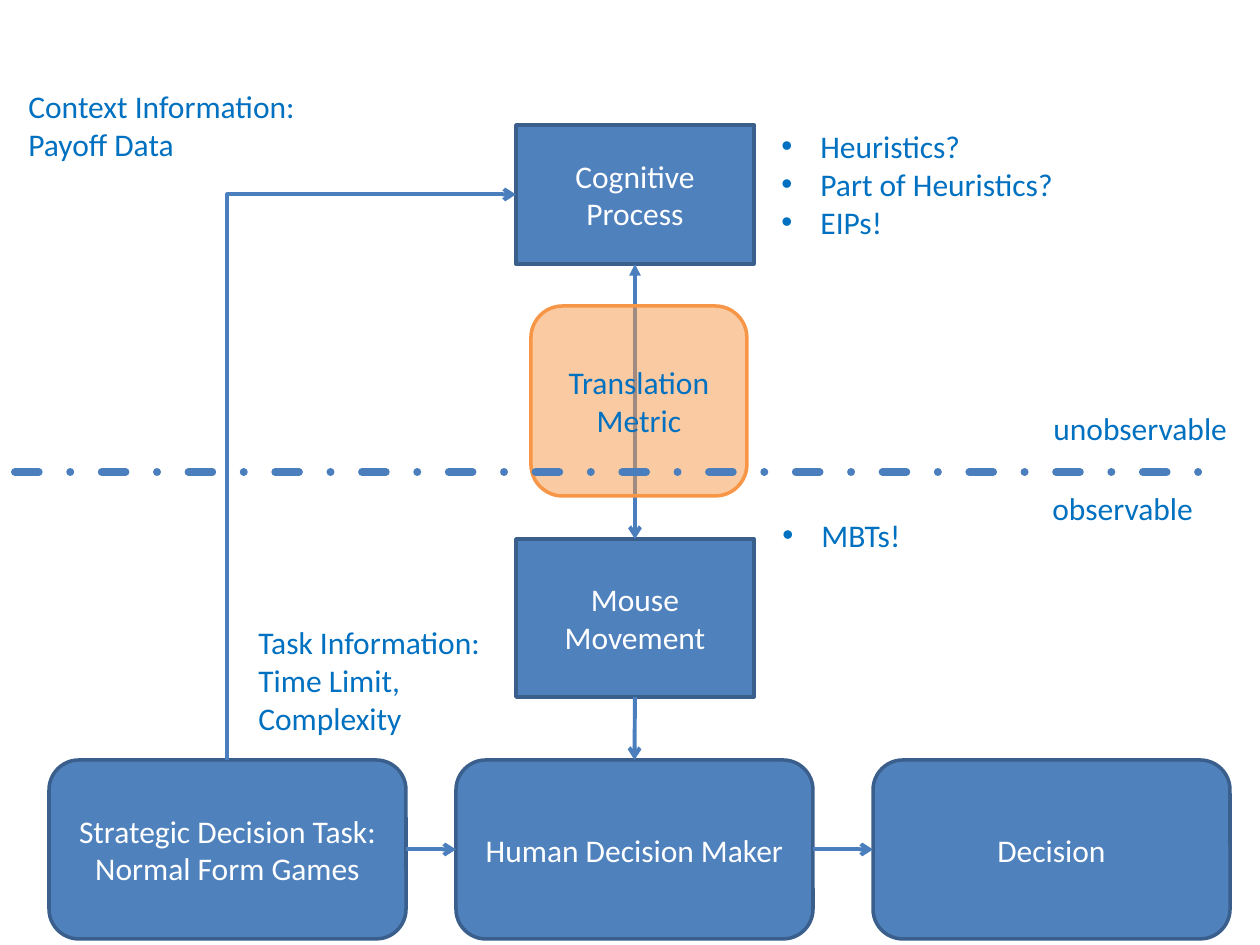
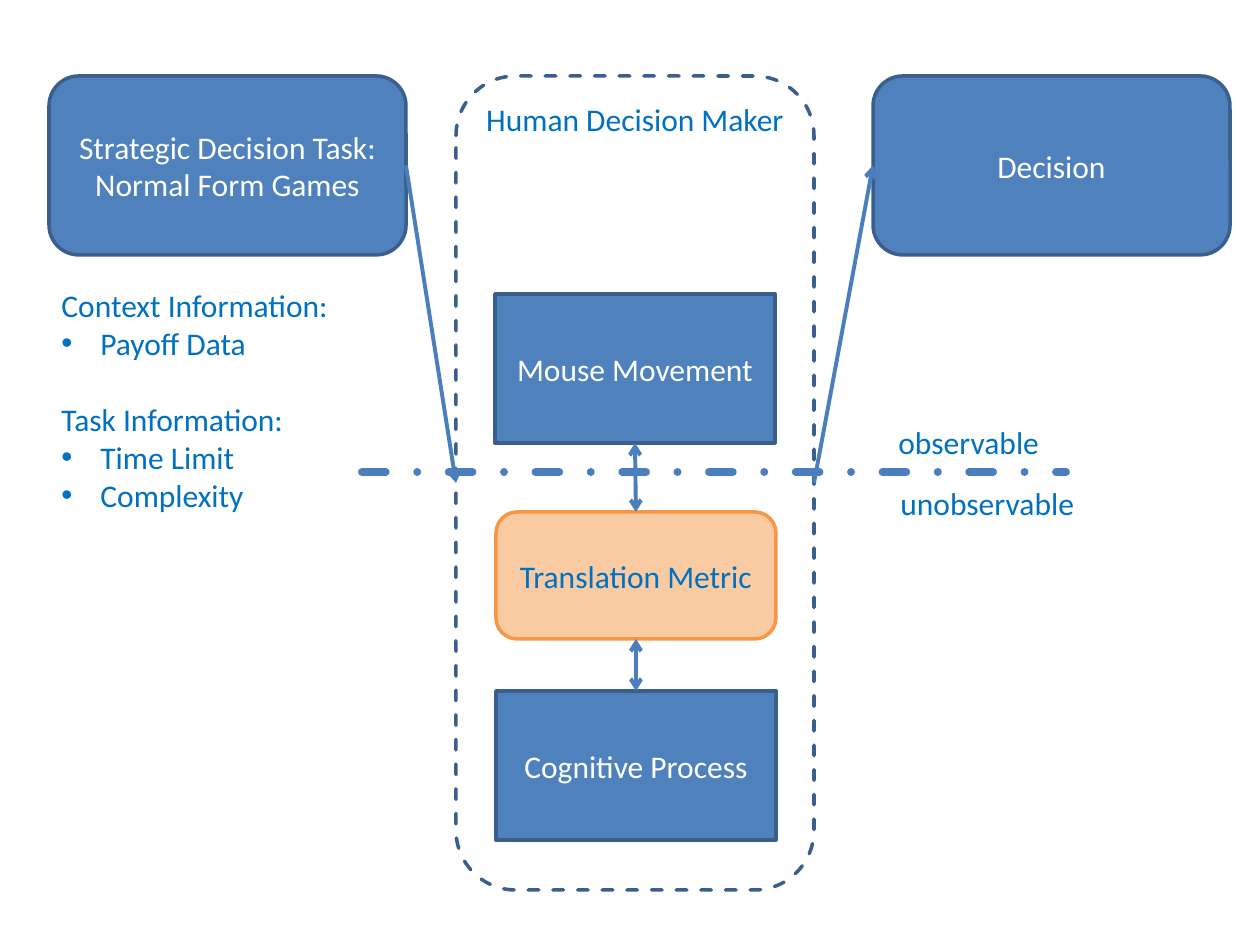
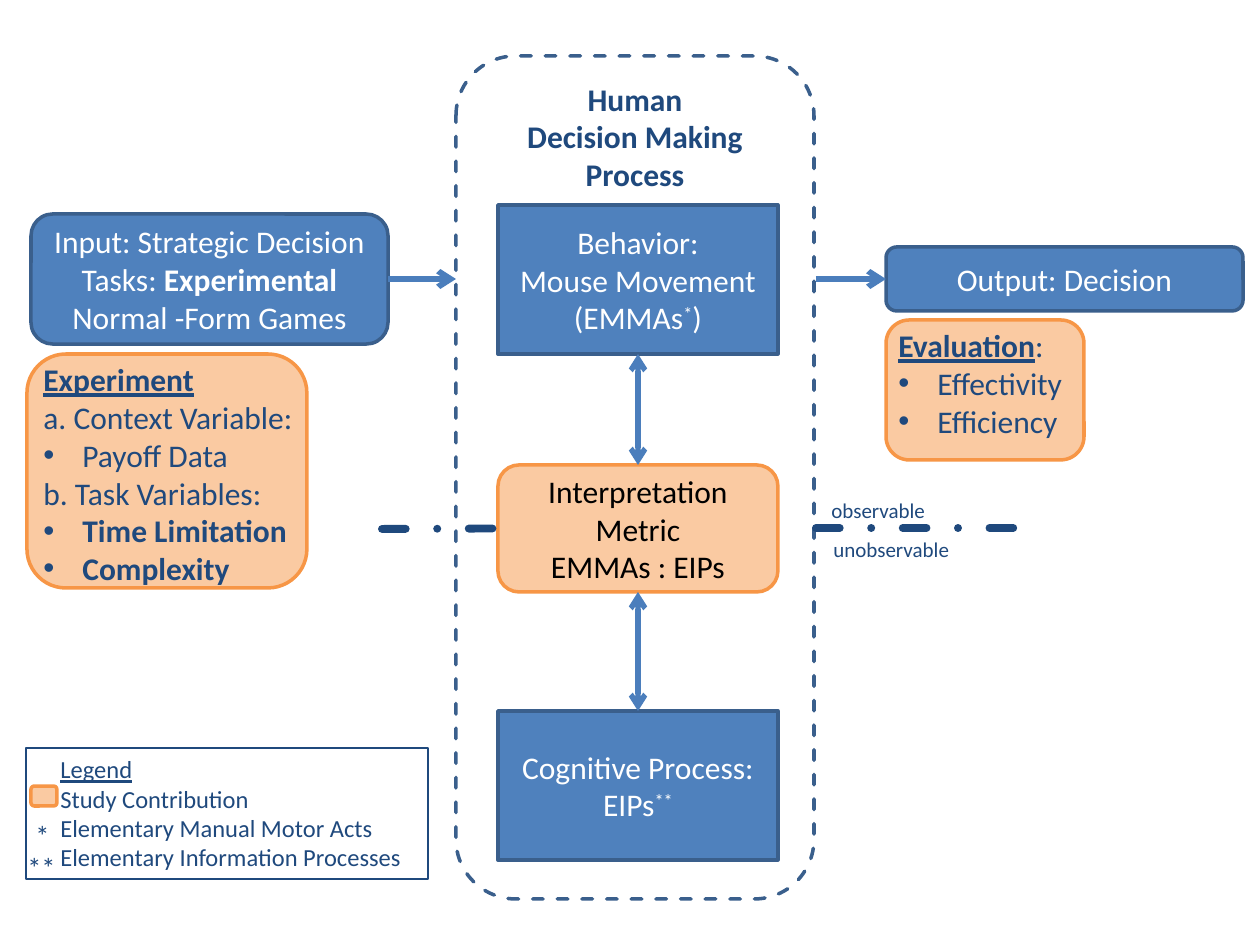
from dataclasses import dataclass

from pptx import Presentation
from pptx import util as u
from pptx.dml.color import RGBColor
from pptx.enum import dml, shapes, text
from pptx.oxml.ns import qn
from lxml import etree

SCALE = 914400 / 126
FONT = "Calibri"
BLUE, EDGE, WIRE = "4F81BD", "3A5F8C", "4B7EBC"
SKY, NAVY, ORANGE = "0070C0", "1F497D", "F79646"
WHITE, BLACK = "FFFFFF", "000000"
RECT = shapes.MSO_SHAPE.RECTANGLE
ROUND = shapes.MSO_SHAPE.ROUNDED_RECTANGLE
LEFT, MID = text.PP_ALIGN.LEFT, text.PP_ALIGN.CENTER
DASH, DOTTED = dml.MSO_LINE.DASH, dml.MSO_LINE.DASH_DOT
TOP, WEST, BASE, EAST = range(4)
SITES = ((0.5, 0), (0, 0.5), (0.5, 1), (1, 0.5))


@dataclass
class Line:
    """One paragraph; runs are (text, marks), with marks b, u or s (raised)."""
    runs: list
    dot: bool = False
    gap: int = 0
    inset: int = 0


def px(n):
    return u.Emu(round(n * SCALE))


def color(code):
    return RGBColor.from_string(code)


def dot(words, marks=""):
    return Line([(words, marks)], dot=True)


def add(parent, tag, **attrs):
    return etree.SubElement(parent, qn(tag), attrs)


def write(frame, lines, tint, size=18, align=LEFT):
    frame.word_wrap = True
    for i, line in enumerate(lines):
        if isinstance(line, str):
            line = Line([(line, "")])
        para = frame.paragraphs[0] if i == 0 else frame.add_paragraph()
        para.alignment = align
        if line.gap:
            para.space_before = u.Pt(line.gap)
        props = para._p.get_or_add_pPr()
        if line.dot:
            props.set("marL", str(px(39)))
            props.set("indent", str(-px(39)))
            add(props, "a:buFont", typeface="Arial")
            add(props, "a:buChar", char="•")
        elif line.inset:
            props.set("marL", str(px(line.inset)))
        for words, marks in line.runs:
            run = para.add_run()
            run.text = words
            font = run.font
            font.name, font.size = FONT, u.Pt(size)
            font.color.rgb = color(tint)
            font.bold = "b" in marks
            font.underline = "u" in marks
            if "s" in marks:
                run._r.get_or_add_rPr().set("baseline", "30000")


def label(slide, place, lines, tint=SKY, size=18):
    box = slide.shapes.add_textbox(*map(px, place))
    write(box.text_frame, lines, tint, size)


def stroke(line, tint, width, dash=None):
    line.color.rgb = color(tint)
    line.width = u.Pt(width)
    if dash:
        line.dash_style = dash
        line._get_or_add_ln().set("cap", "rnd")


def box(slide, kind, place, lines=(), fill=BLUE, edge=EDGE, tint=WHITE,
        width=2, dash=None, size=18, align=MID, anchor=text.MSO_ANCHOR.MIDDLE):
    shape = slide.shapes.add_shape(kind, *map(px, place))
    shape.shadow.inherit = False
    if fill:
        shape.fill.solid()
        shape.fill.fore_color.rgb = color(fill)
    else:
        shape.fill.background()
    stroke(shape.line, edge, width, dash)
    shape.text_frame.vertical_anchor = anchor
    write(shape.text_frame, lines, tint, size, align)
    return shape


def glass(slide, place, lines=(), tint=SKY):
    """Half-transparent orange box."""
    shape = box(slide, ROUND, place, lines, ORANGE, ORANGE, tint)
    tone = shape._element.spPr.find(qn("a:solidFill"))[0]
    add(tone, "a:alpha", val="50000")
    return shape


def maker(slide, place, lines, tint):
    """Dashed frame around the decision maker."""
    shape = box(slide, ROUND, place, lines, None, EDGE, tint, dash=DASH,
                anchor=text.MSO_ANCHOR.TOP)
    shape.text_frame.margin_left = shape.text_frame.margin_right = px(8)
    return shape


def spot(end):
    """Place of an end, given as (x, y) in px or as (shape, site)."""
    if isinstance(end[0], int):
        return px(end[0]), px(end[1])
    shape, site = end
    across, down = SITES[site]
    return (u.Emu(round(shape.left + across * shape.width)),
            u.Emu(round(shape.top + down * shape.height)))


def link(slide, start, end, head=None, tail="arrow", width=2.25,
         tint=WIRE, dash=None, bent=False):
    kind = shapes.MSO_CONNECTOR.ELBOW if bent else shapes.MSO_CONNECTOR.STRAIGHT
    wire = slide.shapes.add_connector(kind, *spot(start), *spot(end))
    if not isinstance(start[0], int):
        wire.begin_connect(*start)
    if not isinstance(end[0], int):
        wire.end_connect(*end)
    props = wire._element.spPr
    if bent:
        props.find(qn("a:prstGeom")).set("prst", "bentConnector2")
    stroke(wire.line, tint, width, dash)
    for tag, tip in (("a:headEnd", head), ("a:tailEnd", tail)):
        if tip:
            add(wire.line._get_or_add_ln(), tag, type=tip)
    add(props, "a:effectLst")


def border(slide, start, end, tint=WIRE):
    link(slide, start, end, tail=None, width=4.5, tint=tint, dash=DOTTED)


def outer(slide, top):
    """Task and decision boxes, in the outer columns."""
    task = box(slide, ROUND, (49, top, 357, 179),
               ["Strategic Decision Task: Normal Form Games"])
    choice = box(slide, ROUND, (873, top, 357, 179), ["Decision"])
    return task, choice


def first(slide):
    human = box(slide, ROUND, (456, 760, 357, 179), ["Human Decision Maker"])
    task, choice = outer(slide, 760)
    mind = box(slide, RECT, (516, 125, 238, 139), ["Cognitive Process"])
    mouse = box(slide, RECT, (516, 539, 238, 158), ["Mouse Movement"])
    link(slide, (mind, BASE), (mouse, TOP), head="triangle")
    glass(slide, (531, 306, 216, 190), ["Translation Metric"])
    link(slide, (task, EAST), (human, WEST))
    link(slide, (human, EAST), (choice, WEST))
    link(slide, (mouse, BASE), (human, TOP))
    link(slide, (mind, WEST), (task, TOP), head="arrow", tail=None, bent=True)
    border(slide, (15, 472), (1201, 472))
    label(slide, (769, 121, 297, 127),
          [dot("Heuristics?"), dot("Part of Heuristics?"), dot("EIPs!")])
    label(slide, (770, 510, 297, 50), [dot("MBTs!")])
    label(slide, (1041, 403, 218, 50), ["unobservable"])
    label(slide, (1040, 483, 218, 50), ["observable"])
    label(slide, (16, 81, 300, 89), ["Context Information: Payoff Data"])
    label(slide, (246, 617, 251, 127),
          ["Task Information: Time Limit, Complexity"])


def second(slide):
    human = maker(slide, (456, 76, 358, 814), ["Human Decision Maker"], SKY)
    task, choice = outer(slide, 76)
    link(slide, (task, EAST), (human, WEST))
    link(slide, (human, EAST), (choice, WEST))
    label(slide, (49, 280, 333, 280), [
        "Context Information:", dot("Payoff Data"),
        Line([("Task Information:", "")], gap=22),
        dot("Time Limit"), dot("Complexity")])
    metric = glass(slide, (496, 512, 280, 127), ["Translation Metric"])
    mind = box(slide, RECT, (496, 691, 280, 149), ["Cognitive Process"])
    mouse = box(slide, RECT, (495, 294, 280, 149), ["Mouse Movement"])
    link(slide, (mouse, BASE), (metric, TOP), head="arrow")
    link(slide, (metric, BASE), (mind, TOP), head="arrow")
    border(slide, (362, 472), (1066, 472))
    label(slide, (888, 478, 218, 50), ["unobservable"])
    label(slide, (886, 417, 218, 50), ["observable"])


def legend(slide):
    names = [("Legend", "u"), ("Study Contribution", ""),
             ("Elementary Manual Motor Acts", ""),
             ("Elementary Information Processes", "")]
    box(slide, RECT, (26, 748, 402, 131),
        [Line([name], inset=22) for name in names], None, NAVY, NAVY,
        width=1, size=14, align=LEFT, anchor=text.MSO_ANCHOR.TOP)
    glass(slide, (31, 786, 26, 20))
    label(slide, (23, 806, 52, 72), [Line([("*", "s")])], NAVY, 28)
    label(slide, (15, 838, 81, 72), [Line([("**", "s")])], NAVY, 28)


def third(slide):
    glass(slide, (27, 354, 280, 234))
    maker(slide, (456, 56, 358, 843),
          [Line([("Human", "b")]), Line([("Decision Making Process", "b")])],
          NAVY)
    result = box(slide, ROUND, (886, 247, 357, 64), ["Output: Decision"])
    task = box(slide, ROUND, (31, 214, 357, 130), [
        Line([("Input: Strategic Decision Tasks: ", ""),
              ("Experimental", "b"), (" Normal -Form Games", "")])])
    link(slide, (task, EAST), (456, 279), width=3.25)
    link(slide, (816, 279), (result, WEST), width=3.25)
    label(slide, (31, 354, 333, 280), [
        Line([("Experiment", "bu")]), "a. Context Variable:",
        dot("Payoff Data"), "b. Task Variables:",
        dot("Time Limitation", "b"), dot("Complexity", "b")], NAVY)
    mind = box(slide, RECT, (498, 711, 280, 149),
               ["Cognitive Process:", Line([("EIPs", ""), ("**", "s")])])
    mouse = box(slide, RECT, (498, 205, 280, 149), [
        "Behavior:", "Mouse Movement",
        Line([("(EMMAs", ""), ("*", "s"), (")", "")])])
    metric = glass(slide, (498, 465, 280, 127),
                   ["Interpretation Metric", "EMMAs : EIPs"], BLACK)
    link(slide, (mouse, BASE), (metric, TOP), head="arrow", width=3)
    link(slide, (metric, BASE), (mind, TOP), head="arrow", width=3)
    border(slide, (382, 529), (metric, WEST), NAVY)
    border(slide, (816, 528), (1031, 528), NAVY)
    label(slide, (821, 530, 156, 38), ["unobservable"], NAVY, 12)
    label(slide, (819, 491, 124, 38), ["observable"], NAVY, 12)
    glass(slide, (886, 320, 198, 140))
    label(slide, (886, 320, 213, 127), [
        Line([("Evaluation", "bu"), (":", "")]),
        dot("Effectivity"), dot("Efficiency")], NAVY)
    legend(slide)


def main():
    deck = Presentation()
    deck.slide_width, deck.slide_height = px(1260), px(945)
    for build in (first, second, third):
        build(deck.slides.add_slide(deck.slide_layouts[6]))
    deck.save("out.pptx")


if __name__ == "__main__":
    main()
